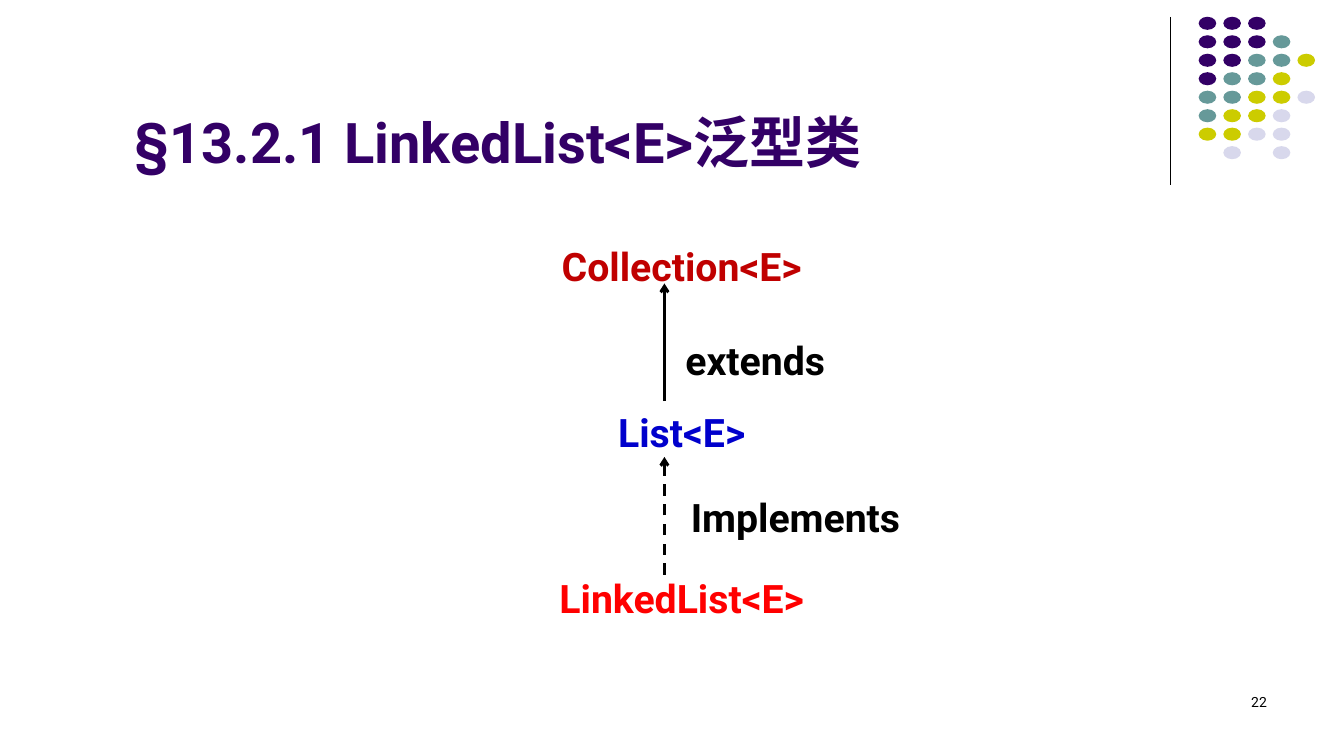
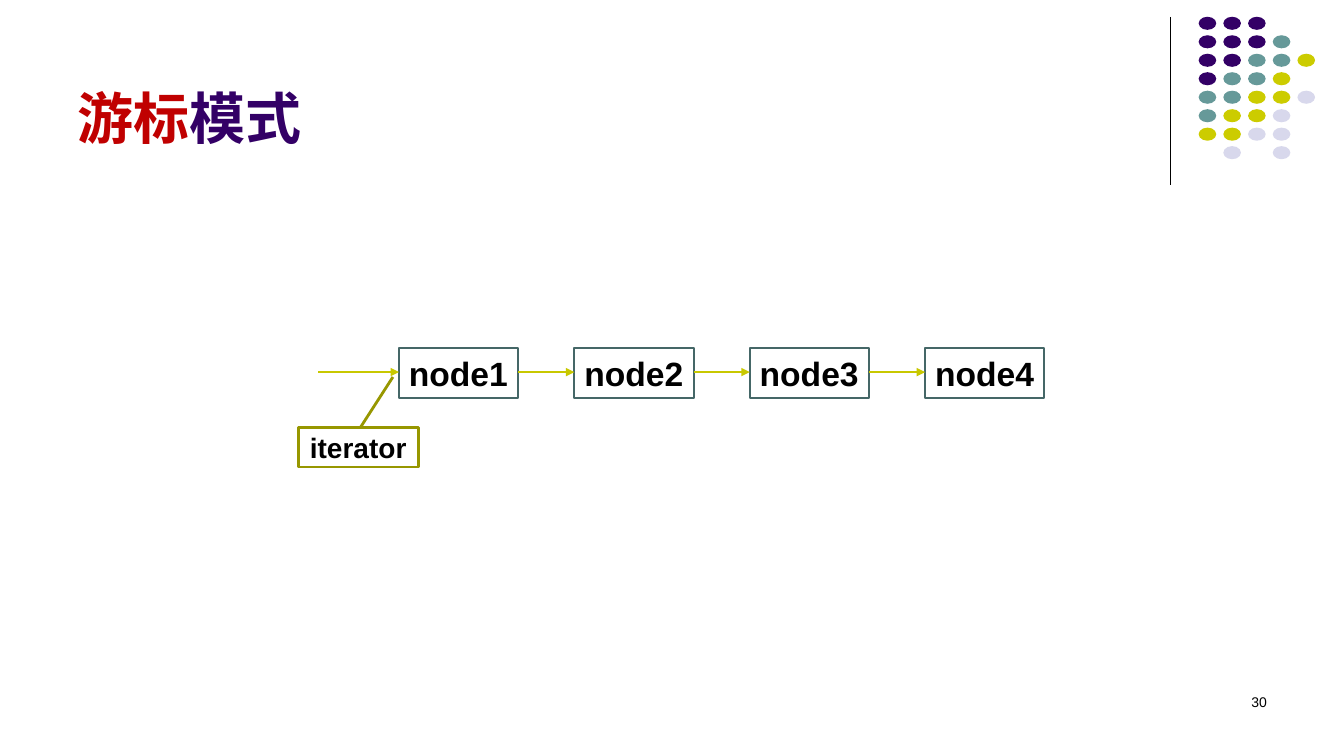
from dataclasses import dataclass

import lxml.etree
import pptx
import pptx.dml.color
import pptx.enum.dml
import pptx.enum.shapes
import pptx.enum.text
import pptx.oxml.ns
import pptx.presentation
import pptx.shapes.autoshape
import pptx.shapes.connector
import pptx.slide
import pptx.text.text
import pptx.util

RGBColor = pptx.dml.color.RGBColor
PURPLE = RGBColor(0x33, 0x00, 0x66)
TEAL = RGBColor(0x66, 0x99, 0x99)
LIME = RGBColor(0xCC, 0xCC, 0x00)
LAVENDER = RGBColor(0xD8, 0xD8, 0xEC)
BLACK = RGBColor(0x00, 0x00, 0x00)
CRIMSON = RGBColor(0xC0, 0x00, 0x00)
BLUE = RGBColor(0x00, 0x00, 0xCC)
RED = RGBColor(0xFF, 0x00, 0x00)
NODE_EDGE = RGBColor(0x45, 0x67, 0x67)
LINK_GREEN = RGBColor(0xC8, 0xC8, 0x00)
ITERATOR_EDGE = RGBColor(0x97, 0x97, 0x00)

COLUMNS, ROWS = 160, 90
SLIDE_WIDTH = pptx.util.Inches(13.33)
SLIDE_HEIGHT = pptx.util.Inches(7.5)
TITLE_ONLY = 5

DOT_COLOURS = {"P": PURPLE, "T": TEAL, "Y": LIME, "L": LAVENDER}
DOT_ROWS = ("PPP..", "PPPT.", "PPTTY", "PTTY.", "TTYYL", "TYYL.", "YYLL.", ".L.L.")

PP_ALIGN = pptx.enum.text.PP_ALIGN
MSO_ANCHOR = pptx.enum.text.MSO_ANCHOR
MSO_SHAPE = pptx.enum.shapes.MSO_SHAPE


@dataclass(frozen=True)
class Cell:
    col: float
    row: float
    cols: float
    rows: float

    def place(self) -> tuple[int, int, int, int]:
        return across(self.col), down(self.row), across(self.cols), down(self.rows)


@dataclass(frozen=True)
class Style:
    font: str
    size: float
    colour: RGBColor = BLACK
    bold: bool = True


@dataclass(frozen=True)
class Phrase:
    text: str
    colour: RGBColor


@dataclass(frozen=True)
class Relation:
    word: str
    label: Cell
    tip_row: float
    dashed: bool


PAGE_NUMBER = Cell(114.7, 82, 37.3, 6)
HIERARCHY = Cell(26, 28.2, 110.3, 48)
HIERARCHY_TYPES = (
    Phrase("Collection<E>", CRIMSON),
    Phrase("List<E>", BLUE),
    Phrase("LinkedList<E>", RED),
)
RELATION_COL = 79.1
RELATION_ROWS = 14
RELATIONS = (
    Relation("extends", Cell(RELATION_COL, 39.4, 21.6, 6.8), 33.75, False),
    Relation("Implements", Cell(RELATION_COL, 58.1, 31.2, 6.8), 54.4, True),
)
FIRST_NODE = Cell(47.5, 41.4, 14.2, 6)
NODE_PITCH = 20.88
NODE_COUNT = 4
LINK_ROW = 44.3
HEAD_LINK_COL = 37.9
ITERATOR = Cell(35.5, 50.9, 14.3, 4.7)
ITERATOR_POINTER = (0.005, 0.517, -1.281, 0.789)


def across(columns: float) -> int:
    return round(SLIDE_WIDTH * columns / COLUMNS)


def down(rows: float) -> int:
    return round(SLIDE_HEIGHT * rows / ROWS)


def format_run(run: pptx.text.text._Run, style: Style) -> None:
    run.font.name = style.font
    run.font.size = pptx.util.Pt(style.size)
    run.font.bold = style.bold
    run.font.color.rgb = style.colour


def write(frame: pptx.text.text.TextFrame, text: str, style: Style,
          align: PP_ALIGN = PP_ALIGN.LEFT, wrap: bool = True) -> None:
    frame.text = text
    frame.word_wrap = wrap
    for paragraph in frame.paragraphs:
        paragraph.alignment = align
        for run in paragraph.runs:
            format_run(run, style)


def add_label(slide: pptx.slide.Slide, cell: Cell, text: str, style: Style,
              align: PP_ALIGN) -> pptx.text.text.TextFrame:
    frame = slide.shapes.add_textbox(*cell.place()).text_frame
    write(frame, text, style, align)
    return frame


def add_line(slide: pptx.slide.Slide, start: tuple[float, float], end: tuple[float, float],
             colour: RGBColor, width: float, head: str = "", dashed: bool = False) -> None:
    line = slide.shapes.add_connector(
        pptx.enum.shapes.MSO_CONNECTOR.STRAIGHT,
        across(start[0]), down(start[1]), across(end[0]), down(end[1]))
    line.line.color.rgb = colour
    line.line.width = pptx.util.Pt(width)
    if dashed:
        line.line.dash_style = pptx.enum.dml.MSO_LINE.DASH
    qn = pptx.oxml.ns.qn
    properties = line.element.spPr
    if head:
        lxml.etree.SubElement(properties.find(qn("a:ln")), qn("a:tailEnd"), type=head)
    lxml.etree.SubElement(properties, qn("a:effectLst"))


def add_outline(slide: pptx.slide.Slide, preset: MSO_SHAPE, cell: Cell, edge: RGBColor,
                width: float) -> pptx.shapes.autoshape.Shape:
    outline = slide.shapes.add_shape(preset, *cell.place())
    outline.shadow.inherit = False
    outline.fill.background()
    outline.line.color.rgb = edge
    outline.line.width = pptx.util.Pt(width)
    return outline


def add_dots(slide: pptx.slide.Slide) -> None:
    cluster = slide.shapes.add_group_shape()
    for row, letters in enumerate(DOT_ROWS):
        for col, letter in enumerate(letters):
            if letter not in DOT_COLOURS:
                continue
            cell = Cell(142.7 + 2.94 * col, 2 + 2.2 * row, 2.1, 1.56)
            dot = cluster.shapes.add_shape(MSO_SHAPE.OVAL, *cell.place())
            dot.shadow.inherit = False
            dot.fill.solid()
            dot.fill.fore_color.rgb = DOT_COLOURS[letter]
            dot.line.fill.background()


def start_slide(deck: pptx.presentation.Presentation, font: str, number: int,
                title_cell: Cell, phrases: tuple[Phrase, ...]) -> pptx.slide.Slide:
    slide = deck.slides.add_slide(deck.slide_layouts[TITLE_ONLY])
    add_line(slide, (139.3, 2), (139.3, 22), BLACK, 0.75)
    add_dots(slide)
    title = slide.shapes.title
    title.left, title.top, title.width, title.height = title_cell.place()
    frame = title.text_frame
    frame.auto_size = pptx.enum.text.MSO_AUTO_SIZE.NONE
    frame.vertical_anchor = MSO_ANCHOR.BOTTOM
    heading = frame.paragraphs[0]
    heading.alignment = PP_ALIGN.LEFT
    for phrase in phrases:
        run = heading.add_run()
        run.text = phrase.text
        format_run(run, Style(font, 40, phrase.colour))
    add_label(slide, PAGE_NUMBER, str(number), Style(font, 10, bold=False), PP_ALIGN.RIGHT)
    return slide


def build_hierarchy(deck: pptx.presentation.Presentation) -> None:
    slide = start_slide(deck, "Roboto", 22, Cell(14.8, 5.9, 110.3, 15.5),
                        (Phrase("§13.2.1 LinkedList<E>泛型类", PURPLE),))
    style = Style("Roboto", 28)
    names = "\n".join(phrase.text for phrase in HIERARCHY_TYPES)
    frame = add_label(slide, HIERARCHY, names, style, PP_ALIGN.CENTER)
    for index, (paragraph, phrase) in enumerate(zip(frame.paragraphs, HIERARCHY_TYPES)):
        paragraph.space_before = pptx.util.Pt(85 if index else 0)
        paragraph.runs[0].font.color.rgb = phrase.colour
    for relation in RELATIONS:
        add_line(slide, (RELATION_COL, relation.tip_row + RELATION_ROWS),
                 (RELATION_COL, relation.tip_row), BLACK, 2, "arrow", relation.dashed)
        add_label(slide, relation.label, relation.word, style, PP_ALIGN.CENTER)


def build_cursor(deck: pptx.presentation.Presentation) -> None:
    slide = start_slide(deck, "Arial", 30, Cell(8, 1.6, 132, 17),
                        (Phrase("游标", CRIMSON), Phrase("模式", PURPLE)))
    link_start = HEAD_LINK_COL
    for index in range(NODE_COUNT):
        cell = Cell(FIRST_NODE.col + NODE_PITCH * index, FIRST_NODE.row,
                    FIRST_NODE.cols, FIRST_NODE.rows)
        node = add_outline(slide, MSO_SHAPE.RECTANGLE, cell, NODE_EDGE, 1.5)
        node.text_frame.vertical_anchor = MSO_ANCHOR.TOP
        write(node.text_frame, f"node{index + 1}", Style("Arial", 24), wrap=False)
        add_line(slide, (link_start, LINK_ROW), (cell.col, LINK_ROW), LINK_GREEN, 2, "triangle")
        link_start = cell.col + cell.cols
    iterator = add_outline(slide, MSO_SHAPE.LINE_CALLOUT_1, ITERATOR, ITERATOR_EDGE, 2)
    for index, share in enumerate(ITERATOR_POINTER):
        iterator.adjustments[index] = share
    iterator.text_frame.vertical_anchor = MSO_ANCHOR.MIDDLE
    write(iterator.text_frame, "iterator", Style("Arial", 20), PP_ALIGN.CENTER, wrap=False)


def main() -> None:
    deck = pptx.Presentation()
    deck.slide_width = SLIDE_WIDTH
    deck.slide_height = SLIDE_HEIGHT
    build_hierarchy(deck)
    build_cursor(deck)
    deck.save("out.pptx")


if __name__ == "__main__":
    main()
